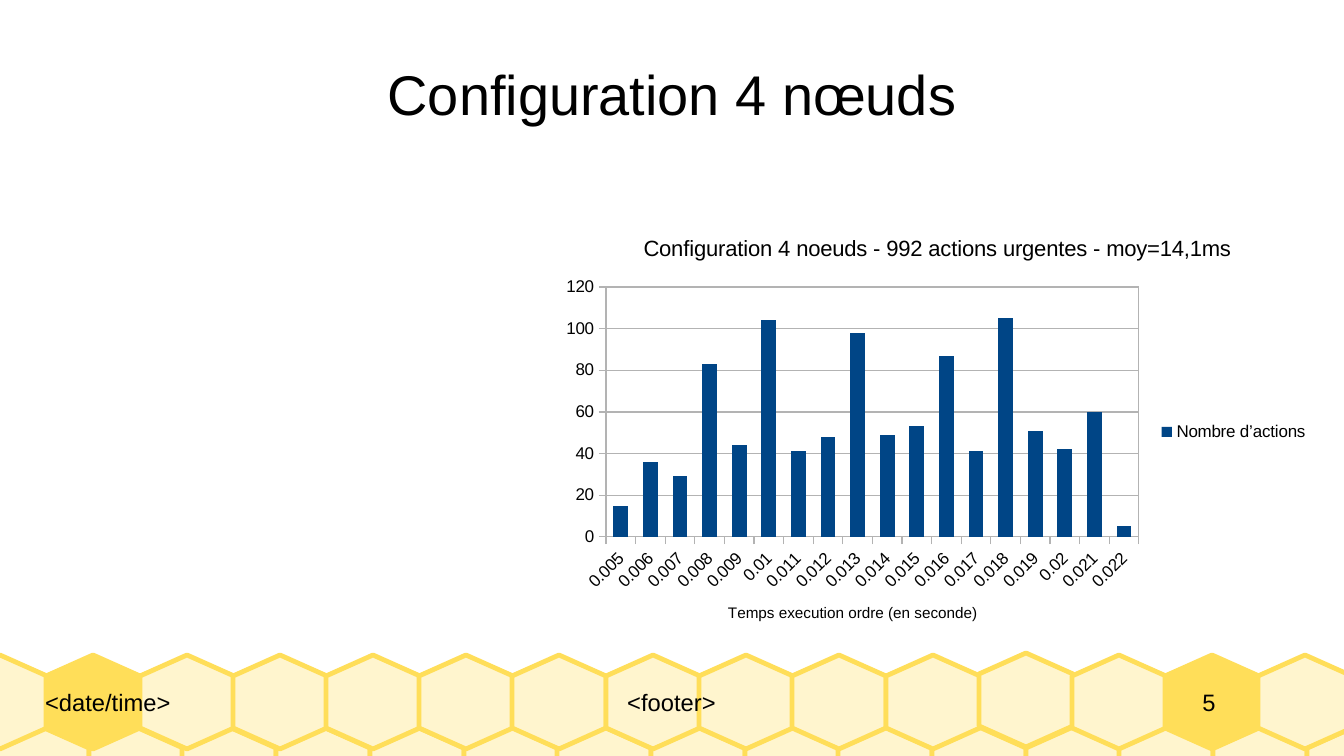
from dataclasses import dataclass

from lxml import etree
from pptx import Presentation
from pptx.chart.axis import CategoryAxis, ValueAxis
from pptx.chart.chart import Chart
from pptx.chart.data import CategoryChartData
from pptx.dml.color import RGBColor
from pptx.enum.chart import XL_CHART_TYPE, XL_LEGEND_POSITION, XL_TICK_MARK
from pptx.enum.text import MSO_ANCHOR, PP_ALIGN
from pptx.oxml import parse_xml
from pptx.oxml.ns import nsdecls, qn
from pptx.slide import Slide
from pptx.text.text import Font, TextFrame
from pptx.util import Pt

COLUMN = XL_CHART_TYPE.COLUMN_CLUSTERED
RIGHT = XL_LEGEND_POSITION.RIGHT
OUTSIDE = XL_TICK_MARK.OUTSIDE
MIDDLE = MSO_ANCHOR.MIDDLE
LEFT, CENTER = PP_ALIGN.LEFT, PP_ALIGN.CENTER

PX = 914400 // 122
FONT = "Arial"
COLORS = {
    "text": "000000",
    "bars": "004586",
    "grid": "B3B3B3",
    "honey": "FFDE59",
    "wax": "FFF5CE",
    "paper": "FFFFFF",
}
HEX_OUTLINE = [(47, 0), (0, 21), (0, 73), (47, 94), (94, 73), (94, 21)]
HEXES_PER_ROW = 15
ACTIONS = [15, 36, 29, 83, 44, 104, 41, 48, 98, 49, 53, 87, 41, 105, 51, 42, 60, 5]
DELAYS = [f"{ms / 1000:g}" for ms in range(5, 23)]


@dataclass(frozen=True)
class Box:
    left: int
    top: int
    width: int
    height: int

    def emu(self) -> tuple[int, int, int, int]:
        return self.left * PX, self.top * PX, self.width * PX, self.height * PX


@dataclass(frozen=True)
class HexRow:
    left: int
    top: int
    pitch: float
    filled: tuple[int, ...] = ()
    raised: tuple[int, ...] = ()


@dataclass(frozen=True)
class Caption:
    wording: str
    box: Box
    align: PP_ALIGN


HONEYCOMB = [
    HexRow(-5, 727, 93.7),
    HexRow(-47, 655, 93.25, filled=(1, 13), raised=(11,)),
]
CAPTIONS = [
    Caption("<date/time>", Box(45, 655, 321, 94), LEFT),
    Caption("<footer>", Box(366, 655, 611, 94), CENTER),
    Caption("5", Box(1133, 655, 152, 94), CENTER),
]
TITLE_BOX = Box(67, 30, 1210, 127)
CHART_BOX = Box(553, 216, 768, 432)
PLOT_BOX = Box(53, 71, 533, 250)


def color(name: str) -> RGBColor:
    return RGBColor.from_string(COLORS[name])


def style_font(font: Font, size: int) -> None:
    font.name = FONT
    font.size = Pt(size)
    font.bold = False
    font.color.rgb = color("text")


def write(frame: TextFrame, wording: str, size: int, align: PP_ALIGN) -> None:
    paragraph = frame.paragraphs[0]
    paragraph.alignment = align
    run = paragraph.add_run()
    run.text = wording
    style_font(run.font, size)


def fit_frame(frame: TextFrame) -> None:
    frame.word_wrap = True
    frame.vertical_anchor = MIDDLE
    frame.margin_left = frame.margin_right = 0
    frame.margin_top = frame.margin_bottom = 0


def draw_hex(slide: Slide, left: int, top: int, fill: str) -> None:
    corners = [(left + x, top + y) for x, y in HEX_OUTLINE]
    builder = slide.shapes.build_freeform(*corners[0], scale=PX)
    builder.add_line_segments(corners[1:], close=True)
    cell = builder.convert_to_shape()
    cell.shadow.inherit = False
    cell.fill.solid()
    cell.fill.fore_color.rgb = color(fill)
    cell.line.color.rgb = color("honey")
    cell.line.width = Pt(2.83)


def draw_row(slide: Slide, row: HexRow) -> None:
    for i in range(HEXES_PER_ROW):
        left = round(row.left + row.pitch * i)
        top = row.top - 2 if i in row.raised else row.top
        draw_hex(slide, left, top, "honey" if i in row.filled else "wax")


def draw_caption(slide: Slide, caption: Caption) -> None:
    frame = slide.shapes.add_textbox(*caption.box.emu()).text_frame
    fit_frame(frame)
    write(frame, caption.wording, 14, caption.align)


def draw_title(slide: Slide) -> None:
    title = slide.shapes.title
    title.left, title.top, title.width, title.height = TITLE_BOX.emu()
    fit_frame(title.text_frame)
    write(title.text_frame, "Configuration 4 nœuds", 33, CENTER)


def style_axis(axis: CategoryAxis | ValueAxis) -> None:
    axis.major_tick_mark = OUTSIDE
    style_font(axis.tick_labels.font, 10)
    axis.format.line.color.rgb = color("grid")
    axis.format.line.width = Pt(0)


def place_plot(chart: Chart) -> None:
    plot_area = chart._chartSpace.chart.plotArea
    for old in plot_area.findall(qn("c:layout")):
        plot_area.remove(old)
    layout = etree.Element(qn("c:layout"))
    manual = etree.SubElement(layout, qn("c:manualLayout"))
    settings = {
        "layoutTarget": "inner",
        "xMode": "edge",
        "yMode": "edge",
        "x": PLOT_BOX.left / CHART_BOX.width,
        "y": PLOT_BOX.top / CHART_BOX.height,
        "w": PLOT_BOX.width / CHART_BOX.width,
        "h": PLOT_BOX.height / CHART_BOX.height,
    }
    for tag, value in settings.items():
        etree.SubElement(manual, qn(f"c:{tag}")).set("val", str(value))
    plot_area.insert(0, layout)
    plot_area.append(parse_xml(
        f'<c:spPr {nsdecls("c", "a")}><a:noFill/><a:ln w="0"><a:solidFill>'
        f'<a:srgbClr val="{COLORS["grid"]}"/></a:solidFill></a:ln></c:spPr>'
    ))


def draw_chart(slide: Slide) -> None:
    data = CategoryChartData()
    data.categories = DELAYS
    data.add_series("Nombre d’actions", ACTIONS)
    chart = slide.shapes.add_chart(COLUMN, *CHART_BOX.emu(), data).chart
    style_font(chart.font, 10)
    chart.has_title = True
    heading = "Configuration 4 noeuds - 992 actions urgentes - moy=14,1ms"
    write(chart.chart_title.text_frame, heading, 13, CENTER)
    chart.chart_title.include_in_layout = False
    chart.has_legend = True
    chart.legend.position = RIGHT
    chart.legend.include_in_layout = False
    style_font(chart.legend.font, 10)

    bars = chart.plots[0]
    bars.gap_width = 100
    bars.vary_by_categories = False
    bars.series[0].format.fill.solid()
    bars.series[0].format.fill.fore_color.rgb = color("bars")

    delays, counts = chart.category_axis, chart.value_axis
    style_axis(delays)
    style_axis(counts)
    delays.has_title = True
    write(delays.axis_title.text_frame, "Temps execution ordre (en seconde)", 9, CENTER)
    delays._element.find(qn("c:txPr")).find(qn("a:bodyPr")).set("rot", "-2700000")
    counts.minimum_scale, counts.maximum_scale, counts.major_unit = 0, 120, 20
    counts.major_gridlines.format.line.color.rgb = color("grid")
    counts.major_gridlines.format.line.width = Pt(0)
    place_plot(chart)


def main() -> None:
    deck = Presentation()
    deck.slide_width, deck.slide_height = 1344 * PX, 756 * PX
    slide = deck.slides.add_slide(deck.slide_layouts[5])
    slide.background.fill.solid()
    slide.background.fill.fore_color.rgb = color("paper")
    for row in HONEYCOMB:
        draw_row(slide, row)
    for caption in CAPTIONS:
        draw_caption(slide, caption)
    draw_title(slide)
    draw_chart(slide)
    deck.save("out.pptx")


if __name__ == "__main__":
    main()
